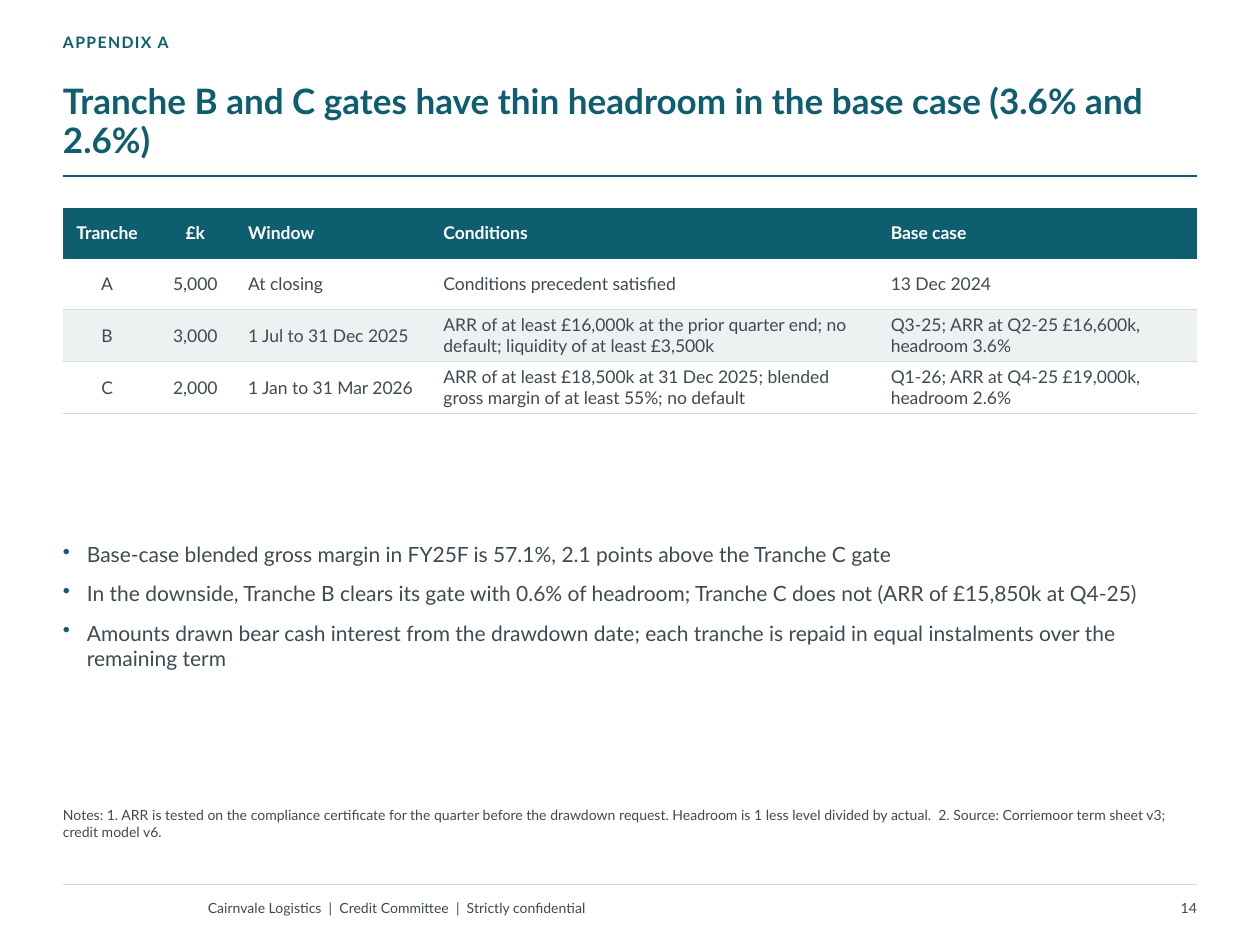
import dataclasses

import lxml.etree
import pptx
import pptx.dml.color
import pptx.enum.shapes
import pptx.enum.text
import pptx.oxml.ns
import pptx.util

Pt = pptx.util.Pt
qn = pptx.oxml.ns.qn
ALIGN = pptx.enum.text.PP_ALIGN
ANCHOR = pptx.enum.text.MSO_ANCHOR


@dataclasses.dataclass(frozen=True)
class Theme:
    font: str = "Lato"
    accent: str = "0E5E6F"
    text: str = "3D4A52"
    white: str = "FFFFFF"
    band: str = "EEF1F2"
    rule: str = "D3D9DC"
    title_size: float = 20
    bullet_size: float = 12
    table_size: float = 10
    eyebrow_size: float = 9
    small_size: float = 8


@dataclasses.dataclass(frozen=True)
class Box:
    left: float
    top: float
    width: float
    height: float


THEME = Theme()
PLAIN_TABLE_STYLE = "{2D5ABB26-0587-4C30-8999-92F81FD0307C}"

COLUMN_WIDTHS = [50.4, 50.4, 111.6, 255.6, 180]
CENTRED_COLUMNS = (0, 1)
TRANCHES = [
    ["Tranche", "£k", "Window", "Conditions", "Base case"],
    ["A", "5,000", "At closing", "Conditions precedent satisfied", "13 Dec 2024"],
    ["B", "3,000", "1 Jul to 31 Dec 2025",
     "ARR of at least £16,000k at the prior quarter end; no default; liquidity of at least £3,500k",
     "Q3-25; ARR at Q2-25 £16,600k, headroom 3.6%"],
    ["C", "2,000", "1 Jan to 31 Mar 2026",
     "ARR of at least £18,500k at 31 Dec 2025; blended gross margin of at least 55%; no default",
     "Q1-26; ARR at Q4-25 £19,000k, headroom 2.6%"],
]
BULLETS = [
    "Base-case blended gross margin in FY25F is 57.1%, 2.1 points above the Tranche C gate",
    "In the downside, Tranche B clears its gate with 0.6% of headroom; "
    "Tranche C does not (ARR of £15,850k at Q4-25)",
    "Amounts drawn bear cash interest from the drawdown date; "
    "each tranche is repaid in equal instalments over the remaining term",
]
NOTES = ("Notes: 1. ARR is tested on the compliance certificate for the quarter before the "
         "drawdown request. Headroom is 1 less level divided by actual.  "
         "2. Source: Corriemoor term sheet v3; credit model v6.")


def rgb(value):
    return pptx.dml.color.RGBColor.from_string(value)


def set_values(target, values):
    for name, value in values.items():
        setattr(target, name, value)


def write_run(paragraph, text, size, color=THEME.text, bold=False):
    run = paragraph.add_run()
    run.text = text
    set_values(run.font, {"name": THEME.font, "size": Pt(size), "bold": bold})
    run.font.color.rgb = rgb(color)
    return run


def add_frame(slide, box, margins=(0, 0, 0, 0), anchor=ANCHOR.TOP):
    shape = slide.shapes.add_textbox(Pt(box.left), Pt(box.top), Pt(box.width), Pt(box.height))
    left, top, right, bottom = map(Pt, margins)
    set_values(shape.text_frame, {
        "word_wrap": True, "vertical_anchor": anchor, "margin_left": left,
        "margin_top": top, "margin_right": right, "margin_bottom": bottom,
    })
    return shape.text_frame


def add_rule(slide, left, top, width, color, weight):
    line = slide.shapes.add_connector(
        pptx.enum.shapes.MSO_CONNECTOR.STRAIGHT, Pt(left), Pt(top), Pt(left + width), Pt(top))
    line.line.color.rgb = rgb(color)
    line.line.width = Pt(weight)
    lxml.etree.SubElement(line._element.spPr, qn("a:effectLst"))


def add_solid_color(parent, color):
    lxml.etree.SubElement(parent, qn("a:srgbClr"), val=color)


def add_header(slide, box, eyebrow, title):
    # Eyebrow label, letter-spaced
    frame = add_frame(slide, Box(box.left, box.top, 504, 17.28))
    run = write_run(frame.paragraphs[0], eyebrow, THEME.eyebrow_size, THEME.accent, True)
    run.font._element.set("spc", "80")
    # Title, sitting on the rule
    frame = add_frame(slide, Box(box.left, box.top + 17.28, box.width, 59.04),
                      (0, 0, 0, 2.88), ANCHOR.BOTTOM)
    frame.paragraphs[0].line_spacing = 0.92
    write_run(frame.paragraphs[0], title, THEME.title_size, THEME.accent, True)
    add_rule(slide, box.left, box.top + box.height, box.width, THEME.accent, 1.25)


def add_bottom_border(cell):
    line = lxml.etree.Element(qn("a:lnB"), w=str(Pt(0.5)))
    add_solid_color(lxml.etree.SubElement(line, qn("a:solidFill")), THEME.rule)
    cell._tc.get_or_add_tcPr().insert(0, line)


def add_tranche_table(slide, box, rows):
    frame = slide.shapes.add_table(len(rows), len(COLUMN_WIDTHS), Pt(box.left), Pt(box.top),
                                   Pt(box.width), Pt(box.height))
    table = frame.table
    table.horz_banding = False
    table._tbl.tblPr.find(qn("a:tableStyleId")).text = PLAIN_TABLE_STYLE
    for column, width in zip(table.columns, COLUMN_WIDTHS):
        column.width = Pt(width)
    for row_index, texts in enumerate(rows):
        table.rows[row_index].height = Pt(box.height / len(rows))
        is_header = row_index == 0
        fill = THEME.accent if is_header else THEME.band if row_index % 2 == 0 else None
        for column_index, text in enumerate(texts):
            cell = table.cell(row_index, column_index)
            set_values(cell, {
                "vertical_anchor": ANCHOR.MIDDLE, "margin_left": Pt(5.04),
                "margin_right": Pt(5.04), "margin_top": Pt(2.88), "margin_bottom": Pt(2.88),
            })
            if fill:
                cell.fill.solid()
                cell.fill.fore_color.rgb = rgb(fill)
            else:
                cell.fill.background()
            if not is_header:
                add_bottom_border(cell)
            paragraph = cell.text_frame.paragraphs[0]
            paragraph.alignment = ALIGN.CENTER if column_index in CENTRED_COLUMNS else ALIGN.LEFT
            write_run(paragraph, text, THEME.table_size,
                      THEME.white if is_header else THEME.text, is_header)


def add_bullets(slide, box, texts):
    frame = add_frame(slide, box)
    for index, text in enumerate(texts):
        paragraph = frame.paragraphs[0] if index == 0 else frame.add_paragraph()
        properties = paragraph._p.get_or_add_pPr()
        properties.set("marL", str(Pt(13.68)))
        properties.set("indent", str(-Pt(13.68)))
        add_solid_color(lxml.etree.SubElement(properties, qn("a:buClr")), THEME.accent)
        lxml.etree.SubElement(properties, qn("a:buChar"), char="•")
        paragraph.space_after = Pt(8)
        write_run(paragraph, text, THEME.bullet_size)


def add_notes_line(slide, box, text):
    write_run(add_frame(slide, box).paragraphs[0], text, THEME.small_size)


def add_footer(slide, box, text, number):
    add_rule(slide, box.left, box.top, box.width, THEME.rule, 0.75)
    text_top, text_height, number_width = box.top + 4.32, 18.72, 72
    frame = add_frame(slide, Box(box.left + 82.8, text_top, 403.2, text_height),
                      (0, 3.6, 7.2, 3.6), ANCHOR.MIDDLE)
    write_run(frame.paragraphs[0], text, THEME.small_size)
    frame = add_frame(slide, Box(box.left + box.width - number_width, text_top,
                                 number_width, text_height),
                      (7.2, 3.6, 0, 3.6), ANCHOR.MIDDLE)
    frame.paragraphs[0].alignment = ALIGN.RIGHT
    write_run(frame.paragraphs[0], number, THEME.small_size)


def main():
    presentation = pptx.Presentation()
    set_values(presentation, {"slide_width": Pt(720), "slide_height": Pt(540)})
    slide = presentation.slides.add_slide(presentation.slide_layouts[6])
    left, width = 36, 648
    add_header(slide, Box(left, 18.72, width, 82.08), "APPENDIX A",
               "Tranche B and C gates have thin headroom in the base case (3.6% and 2.6%)")
    add_tranche_table(slide, Box(left, 118.8, width, 116), TRANCHES)
    add_bullets(slide, Box(left, 309.6, width, 144), BULLETS)
    add_notes_line(slide, Box(left, 460.8, width, 41.76), NOTES)
    add_footer(slide, Box(left, 505.44, width, 23.04),
               "Cairnvale Logistics  |  Credit Committee  |  Strictly confidential", "14")
    presentation.save("out.pptx")


if __name__ == "__main__":
    main()
